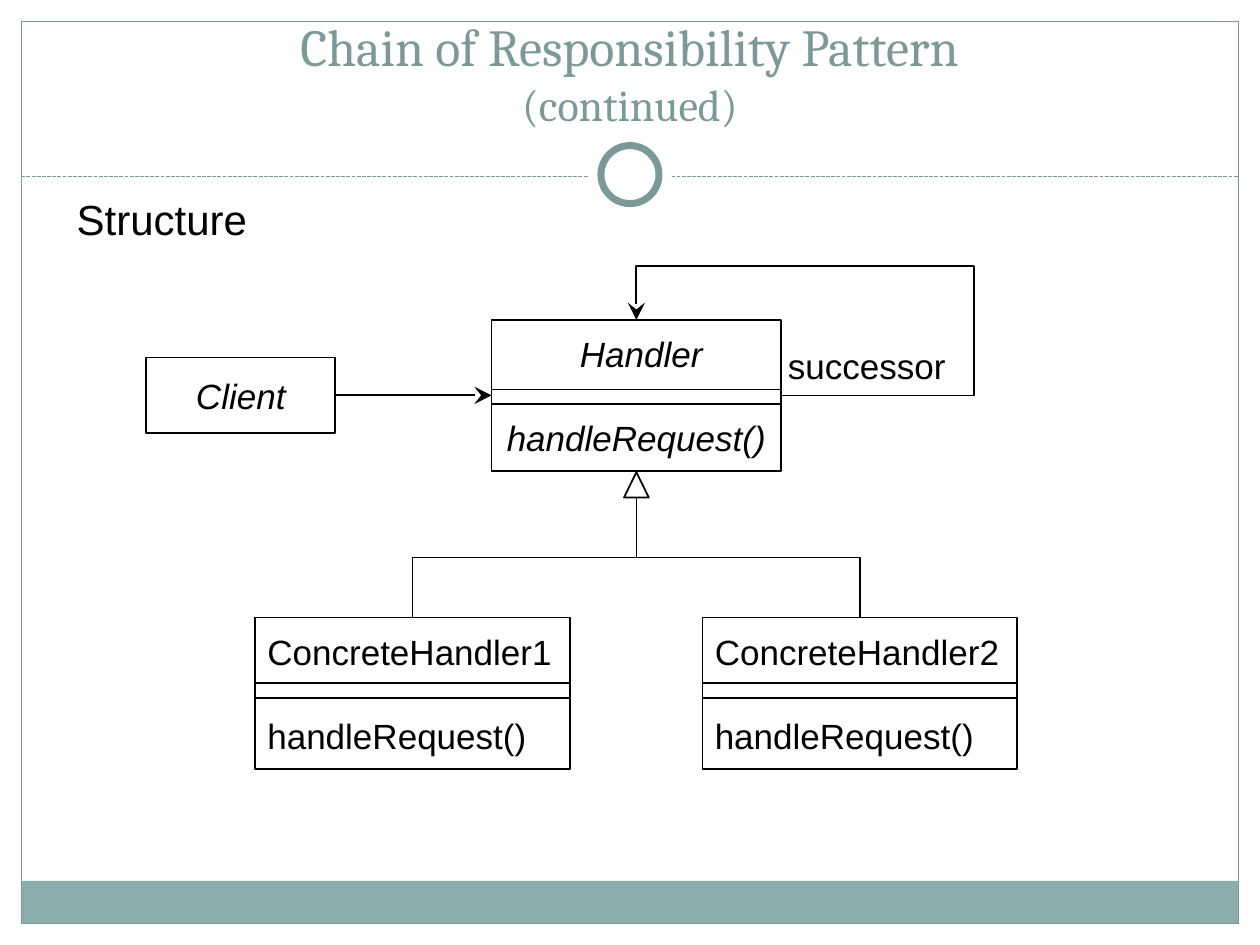
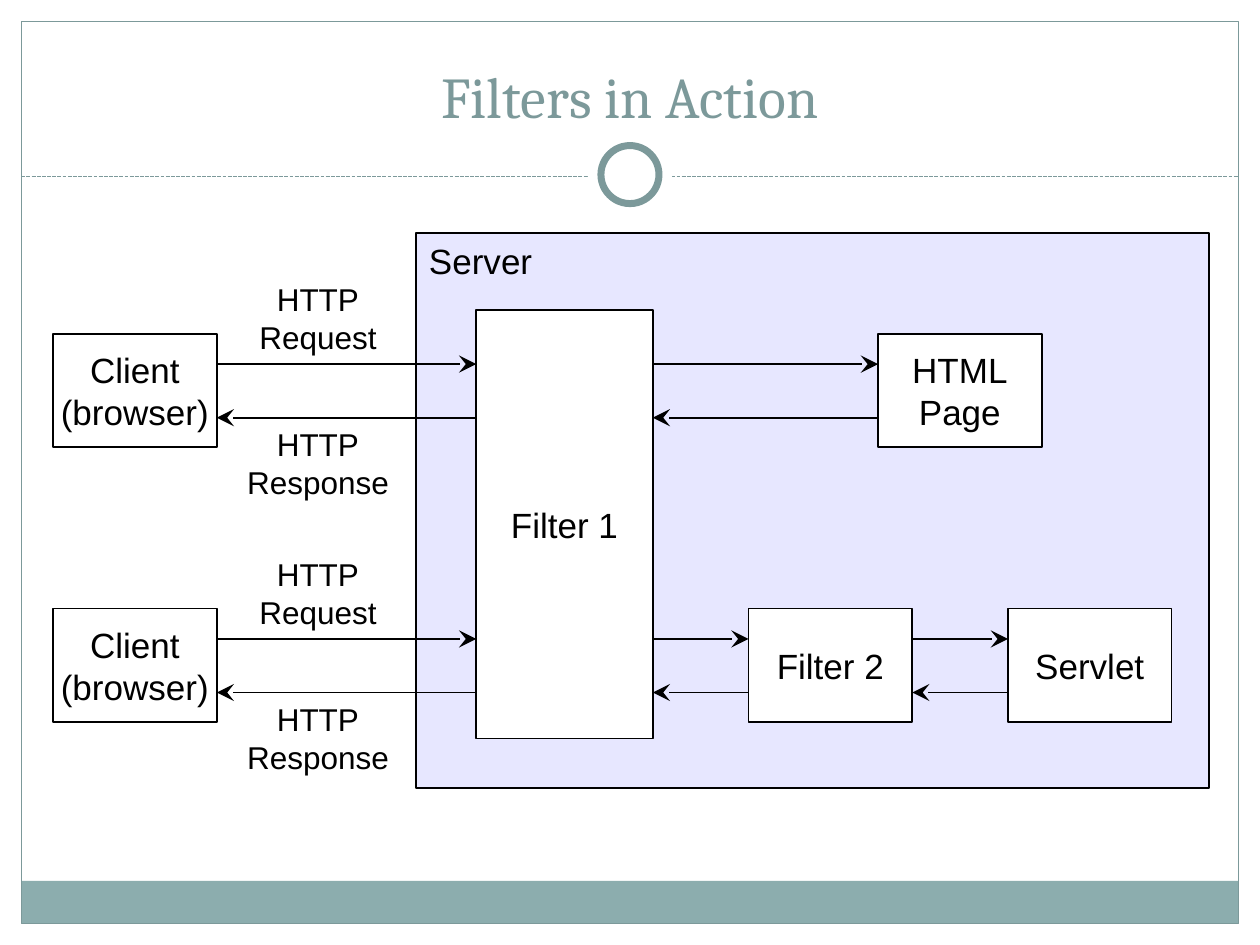
from dataclasses import dataclass
from itertools import pairwise

from lxml import etree
from pptx import Presentation
from pptx import util as u
from pptx.dml.color import RGBColor
from pptx.enum import dml, shapes, text
from pptx.oxml.ns import qn

# Colours and text formats
TEAL = RGBColor(0x7C, 0x99, 0x9A)
BAND = RGBColor(0x8C, 0xAD, 0xAE)
LILAC = RGBColor(0xD1, 0xD1, 0xFF)
BLACK = RGBColor(0, 0, 0)
WHITE = RGBColor(255, 255, 255)
BODY = {"name": "Arial", "size": u.Pt(20)}
ABSTRACT = BODY | {"italic": True}
SMALL = BODY | {"size": u.Pt(18)}
HEADING = BODY | {"size": u.Pt(24)}
TITLE = {"name": "Cambria", "bold": False}
CENTER, LEFT = text.PP_ALIGN.CENTER, text.PP_ALIGN.LEFT
SHAPE, LINE = shapes.MSO_SHAPE, shapes.MSO_CONNECTOR


@dataclass
class Box:
    """A rectangle measured in centimetres."""
    left: float
    top: float
    width: float
    height: float

    @property
    def right(self):
        return self.left + self.width

    @property
    def bottom(self):
        return self.top + self.height

    @property
    def mid_x(self):
        return self.left + self.width / 2

    @property
    def mid_y(self):
        return self.top + self.height / 2

    def lengths(self):
        return [u.Cm(v) for v in (self.left, self.top, self.width, self.height)]


def apply_format(target, values):
    for name, value in values.items():
        setattr(target, name, value)


# Basic parts
def add_outline(parts, box, kind=SHAPE.RECTANGLE, fill=None, line=BLACK, weight=1):
    shape = parts.add_shape(kind, *box.lengths())
    shape.shadow.inherit = False
    if fill is None:
        shape.fill.background()
    else:
        shape.fill.solid()
        shape.fill.fore_color.rgb = fill
    if line is None:
        shape.line.fill.background()
    else:
        shape.line.color.rgb = line
        shape.line.width = u.Pt(weight)
    return shape


def write(frame, lines, style, align=CENTER, gap=0):
    """Write one paragraph per line, with a gap in points between them."""
    for index, line in enumerate(lines):
        paragraph = frame.add_paragraph() if index else frame.paragraphs[0]
        paragraph.alignment = align
        if index and gap:
            paragraph.space_before = u.Pt(gap)
        run = paragraph.add_run()
        run.text = line
        apply_format(run.font, style)
        run.font.color.rgb = BLACK


def add_node(parts, box, lines, style=BODY, align=CENTER, gap=0, fill=None):
    node = add_outline(parts, box, fill=fill)
    apply_format(node.text_frame, {
        "word_wrap": False, "vertical_anchor": text.MSO_ANCHOR.MIDDLE})
    write(node.text_frame, lines, style, align, gap)


def add_label(parts, box, lines, style=BODY):
    frame = parts.add_textbox(*box.lengths()).text_frame
    apply_format(frame, {
        "word_wrap": False, "auto_size": text.MSO_AUTO_SIZE.SHAPE_TO_FIT_TEXT})
    write(frame, lines, style)


def add_line(parts, start, end, kind=LINE.STRAIGHT, color=BLACK, weight=1,
             dash=None, arrow=False):
    points = [u.Cm(v) for v in (*start, *end)]
    line = parts.add_connector(kind, *points)
    line.line.color.rgb = color
    line.line.width = u.Pt(weight)
    if dash is not None:
        line.line.dash_style = dash
    properties = line.element.spPr
    if arrow:
        etree.SubElement(properties.find(qn("a:ln")), qn("a:tailEnd"),
                         type="stealth", w="lg", len="lg")
    etree.SubElement(properties, qn("a:effectLst"))
    return line


def add_drop(parts, start, end):
    """An elbow that leaves downwards, runs sideways and goes down again."""
    drop, span = end[1] - start[1], abs(end[0] - start[0])
    mid_x, mid_y = (start[0] + end[0]) / 2, (start[1] + end[1]) / 2
    side = 1 if end[0] > start[0] else -1
    elbow = add_line(parts, (mid_x + side * drop / 2, mid_y - span / 2),
                     (mid_x - side * drop / 2, mid_y + span / 2), LINE.ELBOW)
    elbow.element.spPr.find(qn("a:xfrm")).set("rot", str((180 + side * 90) * 60000))


def add_loop(parts, start, end, far_x, top):
    """An elbow that runs out to far_x, up to top and back down to end."""
    loop = add_line(parts, start, end, LINE.ELBOW, arrow=True)
    geometry = loop.element.spPr.find(qn("a:prstGeom"))
    geometry.set("prst", "bentConnector4")
    guides = geometry.find(qn("a:avLst"))
    ratios = ((far_x - start[0]) / (end[0] - start[0]),
              (top - start[1]) / (end[1] - start[1]))
    for number, ratio in enumerate(ratios, 1):
        etree.SubElement(guides, qn("a:gd"), name=f"adj{number}",
                         fmla=f"val {round(ratio * 100000)}")


# Shared frame, band, divider and ring
def decorate_layout(layout, slide, box):
    for placeholder in list(layout.placeholders):
        if placeholder.placeholder_format.type != shapes.PP_PLACEHOLDER.TITLE:
            layout.shapes.element.remove(placeholder.element)
    parts, divider_y = slide.shapes, box.top + 3.13

    def disc(size, **look):
        ring = Box(box.mid_x - size / 2, divider_y - 0.04 - size / 2, size, size)
        return add_outline(parts, ring, SHAPE.OVAL, WHITE, **look)

    band = Box(box.left, box.bottom - 0.86, box.width, 0.86)
    decoration = [
        add_outline(parts, band, fill=BAND, line=None),
        add_outline(parts, box, line=TEAL, weight=0.75),
        add_line(parts, (box.left, divider_y), (box.right, divider_y), color=TEAL,
                 weight=0.75, dash=dml.MSO_LINE.SQUARE_DOT),
        disc(1.7, line=None),
        disc(1.17, line=TEAL, weight=4),
    ]
    for part in decoration:
        layout.shapes.element.append(part.element)


def set_title(slide, box, lines):
    title = slide.shapes.title
    apply_format(title, dict(zip(("left", "top", "width", "height"), box.lengths())))
    apply_format(title.text_frame, {
        "word_wrap": True, "auto_size": text.MSO_AUTO_SIZE.NONE,
        "vertical_anchor": text.MSO_ANCHOR.BOTTOM})
    paragraph = title.text_frame.paragraphs[0]
    paragraph.alignment = CENTER
    for index, (words, size) in enumerate(lines):
        if index:
            paragraph.add_line_break()
        run = paragraph.add_run()
        run.text = words
        apply_format(run.font, TITLE | {"size": u.Pt(size)})
        run.font.color.rgb = TEAL


# Class diagram
def add_class(slide, box, lines, divider, style=BODY, align=LEFT):
    parts = slide.shapes.add_group_shape().shapes
    add_node(parts, box, lines, style, align, gap=24)
    for y in (box.top + divider, box.top + divider + 0.3):
        add_line(parts, (box.left, y), (box.right, y))


def draw_structure(slide, box):
    parts = slide.shapes
    client = Box(box.left + 1.68, box.top + 3.43, 3.81, 1.52)
    handler = Box(box.left + 8.64, box.top + 2.67, 5.84, 3.05)
    tip = Box(handler.mid_x - 0.25, handler.bottom + 0.02, 0.5, 0.51)
    add_label(parts, Box(box.left, box.top, 3.99, 1.27), ["Structure"], HEADING)
    add_node(parts, client, ["Client"], ABSTRACT)
    add_class(slide, handler, [" Handler", "handleRequest()"], 1.4, ABSTRACT, CENTER)
    add_outline(parts, tip, SHAPE.ISOSCELES_TRIANGLE)

    # Subclasses, evenly placed either side of the handler
    for number, offset in enumerate((-4.51, 4.51), 1):
        concrete = Box(handler.mid_x + offset - 3.18, handler.top + 6, 6.35, 3.05)
        add_class(slide, concrete, [f"ConcreteHandler{number}", "handleRequest()"], 1.32)
        add_drop(parts, (tip.mid_x, tip.bottom), (concrete.mid_x, concrete.top))

    # Associations
    add_line(parts, (client.right, client.mid_y), (handler.left, client.mid_y), arrow=True)
    add_loop(parts, (handler.right, handler.mid_y), (handler.mid_x, handler.top),
             handler.right + 3.88, handler.top - 1.09)
    add_label(parts, Box(handler.right - 0.13, handler.top + 0.38, 3.71, 1.12),
              ["successor"])


# Filter diagram
def draw_exchange(slide, top, client, shared_filter, stages):
    """One row: a client, the shared filter and the stages behind it."""
    parts = slide.shapes
    request_y, response_y = top + 0.61, top + 1.69
    add_node(parts, client, ["Client", "(browser)"])
    for box, lines in stages:
        add_node(parts, box, lines, fill=WHITE)
    for near, far in pairwise([client, shared_filter, *(box for box, _ in stages)]):
        add_line(parts, (near.right, request_y), (far.left, request_y), arrow=True)
        add_line(parts, (far.left, response_y), (near.right, response_y), arrow=True)
    for word, width, y in (("Request", 2.9, request_y - 1.81),
                           ("Response", 3.4, response_y + 0.03)):
        label = Box(client.right + 2.04 - width / 2, y, width, 1.8)
        add_label(parts, label, ["HTTP", word], SMALL)


def draw_filters(slide, box):
    parts = slide.shapes
    server = Box(box.right - 16, box.top, 16, box.height)
    panel = add_outline(parts, server, fill=LILAC)
    tint = panel.element.spPr.find(".//" + qn("a:srgbClr"))
    etree.SubElement(tint, qn("a:alpha"), val="50000")
    add_label(parts, Box(server.left, server.top, 2.62, 1.12), ["Server"])
    shared_filter = Box(server.left + 1.22, server.top + 1.55, 3.56, 8.64)
    add_node(parts, shared_filter, ["Filter 1"], fill=WHITE)

    rows = (
        (2.03, [(9.32, ["HTML", "Page"])]),
        (7.57, [(6.71, ["Filter 2"]), (11.94, ["Servlet"])]),
    )
    for offset, stages in rows:
        top = box.top + offset
        draw_exchange(slide, top, Box(box.left, top, 3.3, 2.29), shared_filter,
                      [(Box(server.left + x, top, 3.3, 2.29), lines)
                       for x, lines in stages])


deck = Presentation()
deck.slide_width, deck.slide_height = u.Cm(25.4), u.Cm(19.05)
title_only = deck.slide_layouts[5]
title_box = Box(0.84, 0.64, 23.72, 2.11)

chain = deck.slides.add_slide(title_only)
decorate_layout(title_only, chain, Box(0.43, 0.43, 24.54, 18.19))
set_title(chain, title_box,
          [("Chain of Responsibility Pattern", 29.7), ("(continued)", 25.2)])
draw_structure(chain, Box(1.27, 3.78, 22.86, 11.72))

filters = deck.slides.add_slide(title_only)
for leftover in list(filters.placeholders):
    if leftover.placeholder_format.type != shapes.PP_PLACEHOLDER.TITLE:
        filters.shapes.element.remove(leftover.element)
set_title(filters, title_box, [("Filters in Action", 33)])
draw_filters(filters, Box(1.07, 4.7, 23.31, 11.18))

deck.save("out.pptx")
